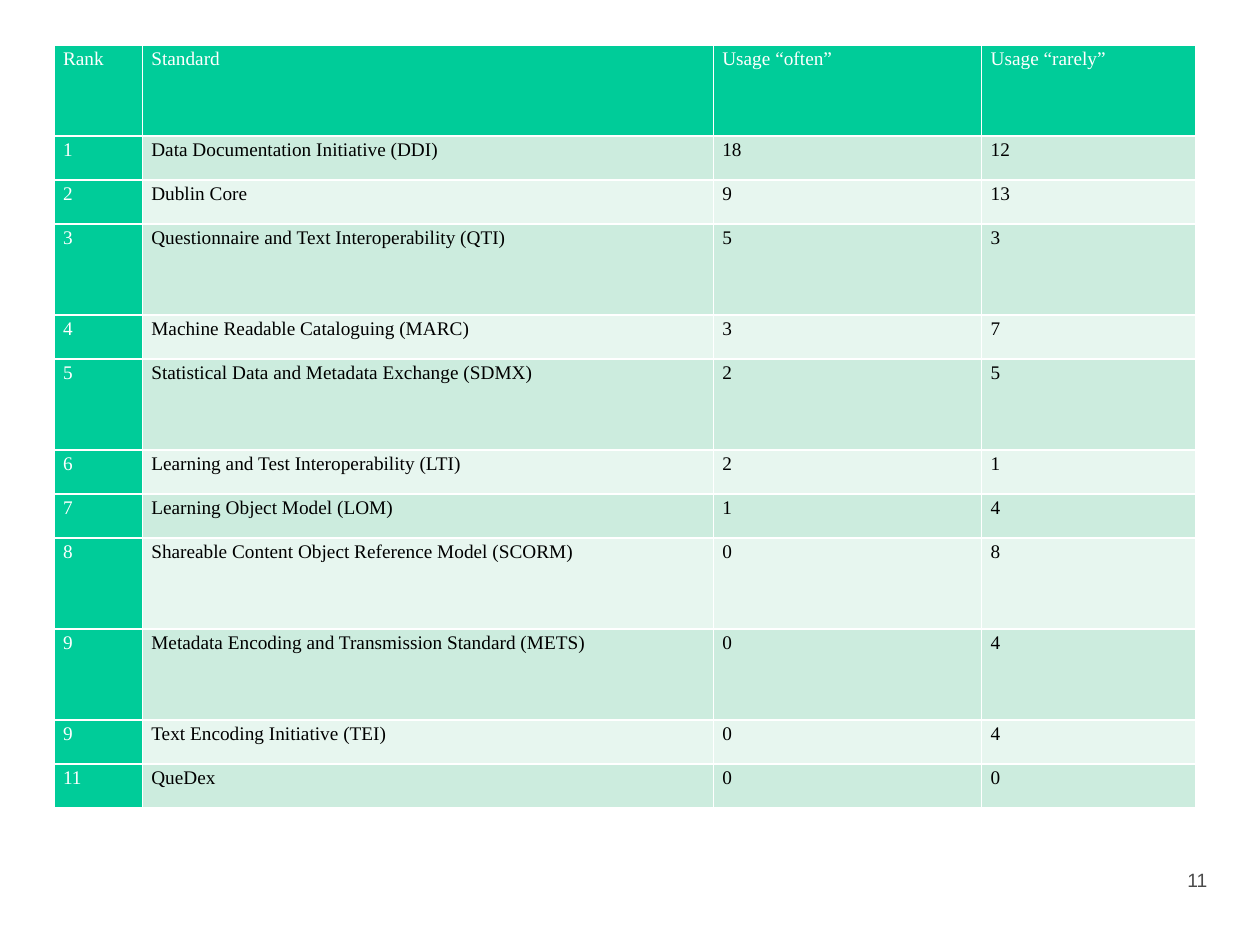
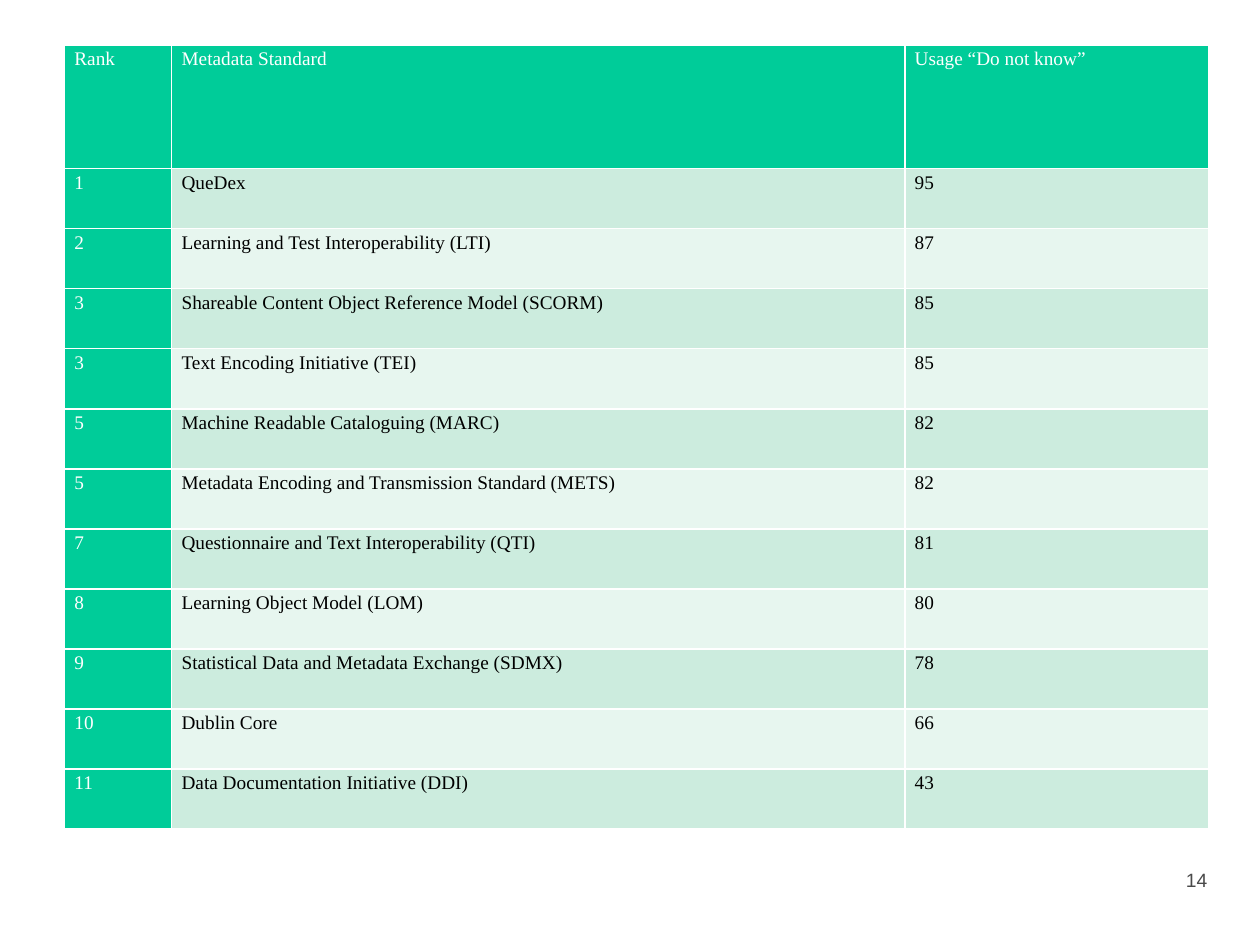
"""Build two slides that rank metadata standards by usage."""
import pptx
import pptx.dml.color
import pptx.enum.text
import pptx.oxml
import pptx.oxml.ns
import pptx.util

Cm, Pt = pptx.util.Cm, pptx.util.Pt
RGB = pptx.dml.color.RGBColor.from_string
ALIGN = pptx.enum.text.PP_ALIGN

DDI = "Data Documentation Initiative (DDI)"
DC = "Dublin Core"
QTI = "Questionnaire and Text Interoperability (QTI)"
MARC = "Machine Readable Cataloguing (MARC)"
SDMX = "Statistical Data and Metadata Exchange (SDMX)"
LTI = "Learning and Test Interoperability (LTI)"
LOM = "Learning Object Model (LOM)"
SCORM = "Shareable Content Object Reference Model (SCORM)"
METS = "Metadata Encoding and Transmission Standard (METS)"
TEI = "Text Encoding Initiative (TEI)"
QUE = "QueDex"

SLIDES = [
    {
        "page": 11, "left": 1.09, "inset": 0.18,
        "cols": [1.78, 11.51, 5.41, 4.32],
        "low": 0.89, "high": 1.83, "tall": {0, 3, 5, 8, 9},
        "rows": [
            ("Rank", "Standard", "Usage “often”", "Usage “rarely”"),
            (1, DDI, 18, 12),
            (2, DC, 9, 13),
            (3, QTI, 5, 3),
            (4, MARC, 3, 7),
            (5, SDMX, 2, 5),
            (6, LTI, 2, 1),
            (7, LOM, 1, 4),
            (8, SCORM, 0, 8),
            (9, METS, 0, 4),
            (9, TEI, 0, 4),
            (11, QUE, 0, 0),
        ],
    },
    {
        "page": 14, "left": 1.3, "inset": 0.2,
        "cols": [2.16, 14.78, 6.12],
        "low": 1.21, "high": 2.49, "tall": {0},
        "rows": [
            ("Rank", "Metadata Standard", "Usage “Do not know”"),
            (1, QUE, 95),
            (2, LTI, 87),
            (3, SCORM, 85),
            (3, TEI, 85),
            (5, MARC, 82),
            (5, METS, 82),
            (7, QTI, 81),
            (8, LOM, 80),
            (9, SDMX, 78),
            (10, DC, 66),
            (11, DDI, 43),
        ],
    },
]

THEME = {
    "head": "00CC99", "bands": ("E7F6EF", "CCECDE"),
    "light": "FFFFFF", "dark": "000000", "grey": "4A4A4A",
    "serif": "Times New Roman", "sans": "Arial",
    "size": 11, "rule": 1, "top": 0.91,
}
FOOT = (21.39, 17.5, 2.95, 1.27)
SIDES = ("left", "right", "top", "bottom")


def put(item, **style):
    for key, value in style.items():
        setattr(item, key, value)


def write(frame, text, face, tint, **para):
    line = frame.paragraphs[0]
    line.text = str(text)
    put(line, **para)
    put(line.font, name=face, size=Pt(THEME["size"]))
    line.font.color.rgb = RGB(tint)


def edge(cell):
    props = cell._tc.get_or_add_tcPr()
    for spot, side in enumerate("LRTB"):
        props.insert(spot, pptx.oxml.parse_xml(
            f'<a:ln{side} {pptx.oxml.ns.nsdecls("a")} w="{Pt(THEME["rule"])}">'
            f'<a:solidFill><a:srgbClr val="{THEME["light"]}"/></a:solidFill>'
            f'</a:ln{side}>'))


def grid(slide, data):
    rows, cols = data["rows"], data["cols"]
    highs = [data["high" if row in data["tall"] else "low"]
             for row in range(len(rows))]
    table = slide.shapes.add_table(
        len(rows), len(cols), Cm(data["left"]), Cm(THEME["top"]),
        Cm(sum(cols)), Cm(sum(highs))).table
    put(table, first_row=True, first_col=True, horz_banding=False)
    for col, width in zip(table.columns, cols):
        col.width = Cm(width)
    for row, high in zip(table.rows, highs):
        row.height = Cm(high)
    pad = Cm(data["inset"])
    for r, row in enumerate(rows):
        for c, text in enumerate(row):
            cell = table.cell(r, c)
            head = r == 0 or c == 0
            put(cell, margin_left=pad, margin_right=pad,
                margin_top=0, margin_bottom=0)
            cell.fill.solid()
            cell.fill.fore_color.rgb = RGB(
                THEME["head"] if head else THEME["bands"][r % 2])
            edge(cell)
            write(cell.text_frame, text, THEME["serif"],
                  THEME["light" if head else "dark"],
                  alignment=ALIGN.LEFT, line_spacing=1.15)
            cell.text_frame.paragraphs[0].font.bold = False


def foot(slide, page):
    frame = slide.shapes.add_textbox(*map(Cm, FOOT)).text_frame
    put(frame, word_wrap=True, **{f"margin_{side}": 0 for side in SIDES})
    write(frame, page, THEME["sans"], THEME["grey"], alignment=ALIGN.RIGHT)


def main():
    deck = pptx.Presentation()
    put(deck, slide_width=Cm(25.4), slide_height=Cm(19.05))
    for data in SLIDES:
        slide = deck.slides.add_slide(deck.slide_layouts[6])
        foot(slide, data["page"])
        grid(slide, data)
    deck.save("out.pptx")


if __name__ == "__main__":
    main()
